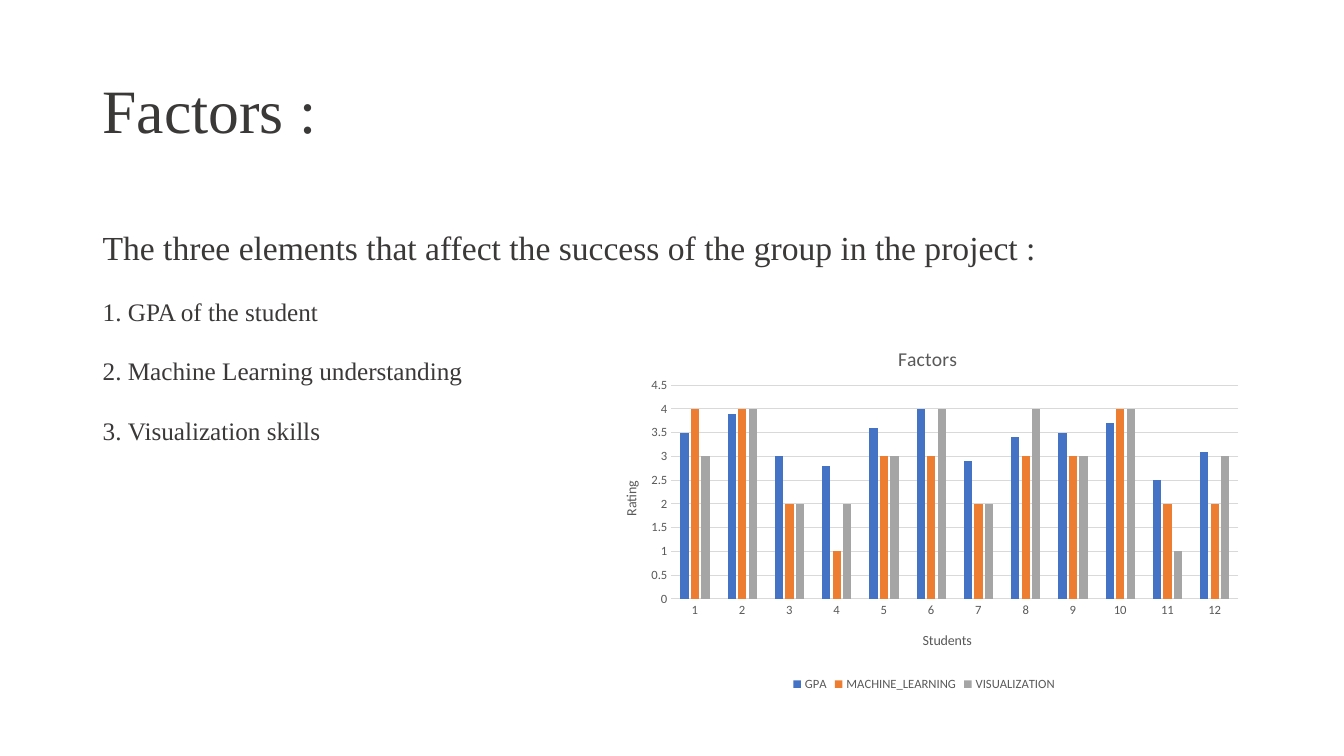
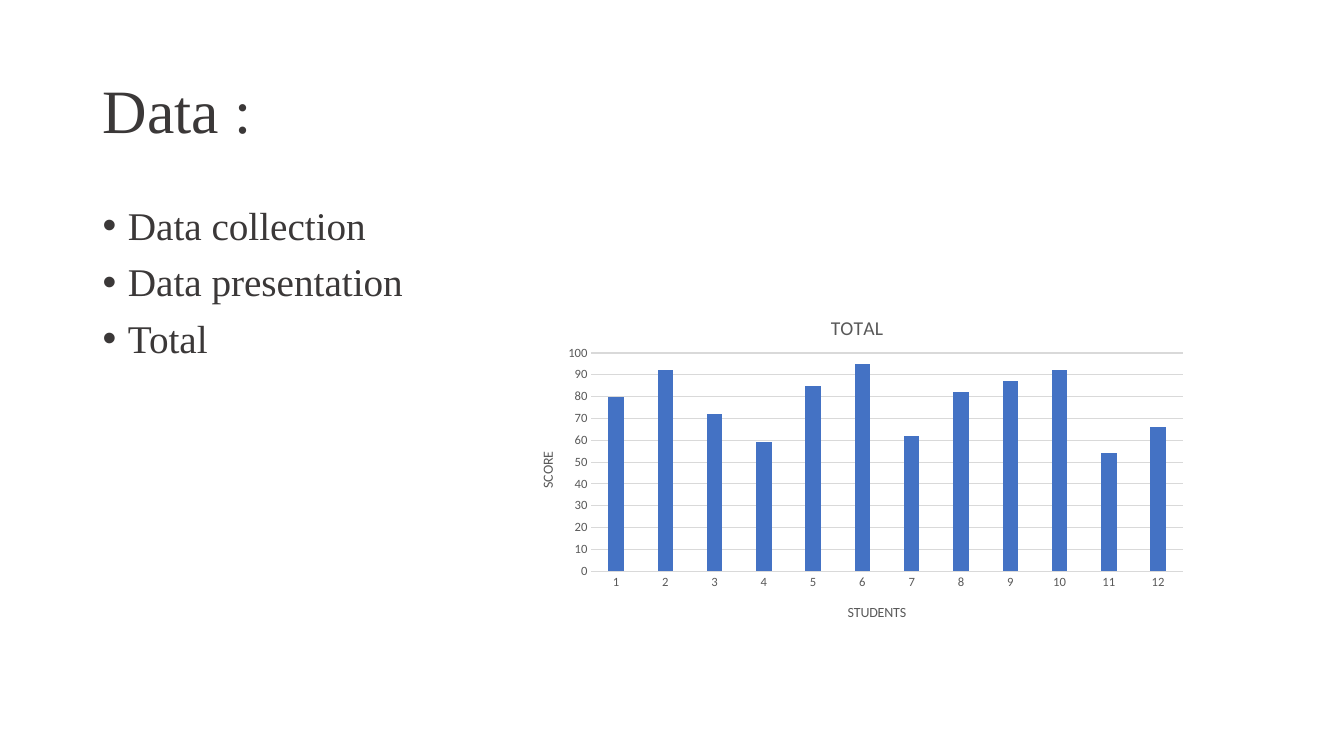
"""Build two slides on the factors and data behind student project success."""
from dataclasses import dataclass
from typing import Optional

from lxml.etree import SubElement
from pptx import Presentation
from pptx.chart.axis import CategoryAxis, ValueAxis
from pptx.chart.chart import Chart
from pptx.chart.data import CategoryChartData
from pptx.dml.color import RGBColor
from pptx.enum.chart import XL_CHART_TYPE, XL_LEGEND_POSITION, XL_TICK_MARK
from pptx.enum.text import MSO_ANCHOR
from pptx.oxml import parse_xml
from pptx.oxml.ns import nsdecls, qn
from pptx.oxml.xmlchemy import BaseOxmlElement
from pptx.slide import Slide
from pptx.text.text import Font, TextFrame
from pptx.util import Inches, Pt

INK = RGBColor(0x3B, 0x38, 0x38)
CHART_INK = RGBColor(0x59, 0x59, 0x59)
GRID = RGBColor(0xD9, 0xD9, 0xD9)
SERIES_COLORS = (
    RGBColor(0x44, 0x72, 0xC4),
    RGBColor(0xED, 0x7D, 0x31),
    RGBColor(0xA5, 0xA5, 0xA5),
)
TEXT_FONT = "Times New Roman"
CHART_FONT = "Calibri"
TEXT_LEFT, TEXT_WIDTH = 0.92, 11.5
INDENT = Inches(0.25)
STUDENTS = [str(number) for number in range(1, 13)]


@dataclass(frozen=True)
class Line:
    """A paragraph of body text with an optional list marker."""

    text: str
    size: int
    spacing: float
    marker: Optional[str] = None


@dataclass(frozen=True)
class Label:
    """A chart label and its top left corner as fractions of the chart."""

    text: str
    position: tuple[float, float]
    size: int = 10


@dataclass(frozen=True)
class ColumnChart:
    """The place, labels, scale and values of a column chart."""

    frame: tuple[float, float, float, float]
    plot_area: tuple[float, float, float, float]
    title: Label
    category_label: Label
    value_label: Label
    maximum: float
    step: float
    series: dict[str, list[float]]


@dataclass(frozen=True)
class Page:
    """The content of one slide."""

    title: str
    lines: list[Line]
    chart: ColumnChart


PAGES = [
    Page(
        "Factors :",
        [
            Line("The three elements that affect the success of the group in the project :", 24, 1.5),
            Line("GPA of the student", 18, 1.5, "number"),
            Line("Machine Learning understanding", 18, 1.5, "number"),
            Line("Visualization skills", 18, 1.5, "number"),
        ],
        ColumnChart(
            (5.91, 3.19, 6.51, 3.71),
            (0.115, 0.17, 0.864, 0.572),
            Label("Factors", (0.455, 0.055), 14),
            Label("Students", (0.494, 0.82)),
            Label("Rating", (0.036, 0.42)),
            4.5,
            0.5,
            {
                "GPA": [3.5, 3.9, 3, 2.8, 3.6, 4, 2.9, 3.4, 3.5, 3.7, 2.5, 3.1],
                "MACHINE_LEARNING": [4, 4, 2, 1, 3, 3, 2, 3, 3, 4, 2, 2],
                "VISUALIZATION": [3, 4, 2, 2, 3, 4, 2, 4, 3, 4, 1, 3],
            },
        ),
    ),
    Page(
        "Data :",
        [
            Line(text, 28, 0.9, "bullet")
            for text in ("Data collection", "Data presentation", "Total")
        ],
        ColumnChart(
            (5.08, 2.89, 6.78, 3.44),
            (0.116, 0.178, 0.865, 0.629),
            Label("TOTAL", (0.461, 0.057), 14),
            Label("STUDENTS", (0.487, 0.892)),
            Label("SCORE", (0.035, 0.455)),
            100,
            10,
            {"TOTAL": [80, 92, 72, 59, 85, 95, 62, 82, 87, 92, 54, 66]},
        ),
    ),
]


def style_font(font: Font, name: str, size: int, color: RGBColor) -> None:
    """Apply a regular-weight font."""
    font.name, font.size, font.bold = name, Pt(size), False
    font.color.rgb = color


def add_text(page: Slide, top: float, height: float, lines: list[Line]) -> TextFrame:
    """Add a text box with one paragraph for each line."""
    box = page.shapes.add_textbox(
        Inches(TEXT_LEFT), Inches(top), Inches(TEXT_WIDTH), Inches(height)
    )
    frame = box.text_frame
    frame.word_wrap = True
    for index, line in enumerate(lines):
        para = frame.add_paragraph() if index else frame.paragraphs[0]
        para.text = line.text
        para.line_spacing = line.spacing
        para.space_before = Pt(10)
        if line.marker:
            properties = para._p.get_or_add_pPr()
            properties.set("marL", str(INDENT))
            properties.set("indent", str(-INDENT))
            if line.marker == "number":
                SubElement(properties, qn("a:buAutoNum"), type="arabicPeriod")
            else:
                SubElement(properties, qn("a:buFont"), typeface="Arial")
                SubElement(properties, qn("a:buChar"), char="•")
        style_font(para.font, TEXT_FONT, line.size, INK)
    return frame


def set_layout(parent: BaseOxmlElement, numbers: tuple[float, ...], inner: bool = False) -> None:
    """Place a chart part by fractions of the chart's size."""
    layout = parent.find(qn("c:layout"))
    if layout is None:
        layout = parse_xml(f"<c:layout {nsdecls('c')}/>")
        parent.insert(0, layout)
    manual = SubElement(layout, qn("c:manualLayout"))
    if inner:
        SubElement(manual, qn("c:layoutTarget"), val="inner")
    for name in ("xMode", "yMode"):
        SubElement(manual, qn(f"c:{name}"), val="edge")
    for name, number in zip("xywh", numbers):
        SubElement(manual, qn(f"c:{name}"), val=str(number))


def set_label(owner: Chart | CategoryAxis | ValueAxis, label: Label) -> None:
    """Write and place the title of a chart or an axis."""
    owner.has_title = True
    title = owner.chart_title if isinstance(owner, Chart) else owner.axis_title
    para = title.text_frame.paragraphs[0]
    para.text = label.text
    style_font(para.font, CHART_FONT, label.size, CHART_INK)
    if isinstance(owner, ValueAxis):
        body = title.element.find(f".//{qn('a:bodyPr')}")
        body.set("rot", "-5400000")
        body.set("vert", "horz")
    set_layout(title.element, label.position)


def add_column_chart(page: Slide, content: ColumnChart) -> None:
    """Add a clustered column chart."""
    data = CategoryChartData()
    data.categories = STUDENTS
    for name, values in content.series.items():
        data.add_series(name, values)
    chart = page.shapes.add_chart(
        XL_CHART_TYPE.COLUMN_CLUSTERED, *map(Inches, content.frame), data
    ).chart
    style_font(chart.font, CHART_FONT, 10, CHART_INK)
    plot = chart.plots[0]
    plot.gap_width, plot.overlap, plot.vary_by_categories = 219, -27, False
    for series, color in zip(plot.series, SERIES_COLORS):
        series.format.fill.solid()
        series.format.fill.fore_color.rgb = color

    categories, values = chart.category_axis, chart.value_axis
    for axis in (categories, values):
        axis.major_tick_mark = axis.minor_tick_mark = XL_TICK_MARK.NONE
        style_font(axis.tick_labels.font, CHART_FONT, 9, CHART_INK)
    values.minimum_scale, values.maximum_scale = 0, content.maximum
    values.major_unit = content.step
    values.format.line.fill.background()
    for line in (categories.format.line, values.major_gridlines.format.line):
        line.color.rgb = GRID
        line.width = Pt(0.75)

    set_label(chart, content.title)
    set_label(categories, content.category_label)
    set_label(values, content.value_label)
    set_layout(chart.element.find(f".//{qn('c:plotArea')}"), content.plot_area, inner=True)
    chart.has_legend = len(content.series) > 1
    if chart.has_legend:
        chart.legend.position = XL_LEGEND_POSITION.BOTTOM
        chart.legend.include_in_layout = False
        style_font(chart.legend.font, CHART_FONT, 9, CHART_INK)


def main() -> None:
    """Build and save the deck."""
    deck = Presentation()
    deck.slide_width, deck.slide_height = Inches(13.33), Inches(7.5)
    for content in PAGES:
        page = deck.slides.add_slide(deck.slide_layouts[6])
        title = add_text(page, 0.4, 1.45, [Line(content.title, 44, 0.9)])
        title.vertical_anchor = MSO_ANCHOR.MIDDLE
        title.paragraphs[0].space_before = Pt(0)
        add_text(page, 2, 4.76, content.lines)
        add_column_chart(page, content.chart)
    deck.save("out.pptx")


if __name__ == "__main__":
    main()
